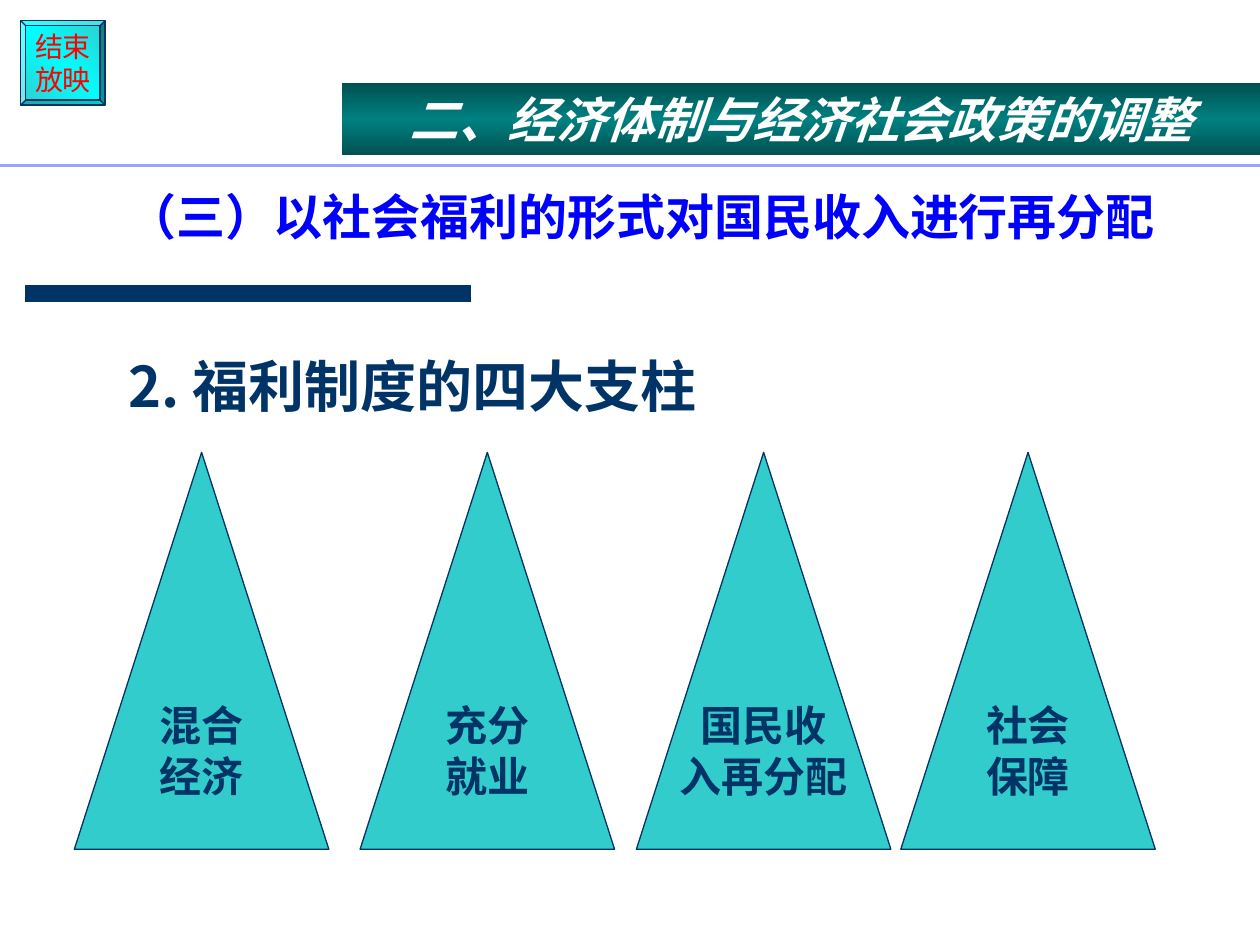
import pptx
import pptx.dml.color
import pptx.enum.shapes
import pptx.enum.text
import pptx.oxml
import pptx.oxml.ns
import pptx.util
from lxml import etree

Cm = pptx.util.Cm
Pt = pptx.util.Pt
RGBColor = pptx.dml.color.RGBColor
SHAPE = pptx.enum.shapes.MSO_SHAPE
ALIGN = pptx.enum.text.PP_ALIGN
ANCHOR = pptx.enum.text.MSO_ANCHOR
qn = pptx.oxml.ns.qn

NAVY = RGBColor(0x00, 0x33, 0x66)
BLUE = RGBColor(0x00, 0x00, 0xFF)
RED = RGBColor(0xFF, 0x00, 0x00)
WHITE = RGBColor(0xFF, 0xFF, 0xFF)
TURQUOISE = RGBColor(0x33, 0xCC, 0xCC)
CYAN = RGBColor(0x00, 0xFF, 0xFF)
TEAL = RGBColor(0x00, 0x80, 0x80)
DARK_TEAL = RGBColor(0x00, 0x51, 0x51)
LAVENDER = RGBColor(0x9B, 0xA4, 0xFD)

SANS = "Noto Sans CJK SC"
LATIN = "Arial"


class SlideBuilder:
    def __init__(self, slide):
        self.s = slide

    def label(self, sp, text, size, color, font=SANS, bold=True, italic=False,
              align=ALIGN.CENTER, anchor=ANCHOR.MIDDLE, wrap=False):
        tf = sp.text_frame
        tf.text = text
        tf.auto_size = pptx.enum.text.MSO_AUTO_SIZE.NONE
        tf.word_wrap = wrap
        tf.vertical_anchor = anchor
        for p in tf.paragraphs:
            p.alignment = align
            p.space_before = Pt(0)
            for r in p.runs:
                r.font.name = font
                r.font.size = Pt(size)
                r.font.bold = bold
                r.font.italic = italic
                r.font.color.rgb = color
                ea = etree.SubElement(r.font._element, qn("a:ea"))
                ea.set("typeface", SANS)

    def placeholder(self, index, x, y, w, h, text, size, color, anchor):
        sp = self.s.placeholders[index]
        sp.left, sp.top, sp.width, sp.height = Cm(x), Cm(y), Cm(w), Cm(h)
        self.label(sp, text, size, color, align=ALIGN.LEFT, anchor=anchor, wrap=True)
        return sp.text_frame.paragraphs[0]

    def shape(self, kind, x, y, w, h, fill=None, line=None):
        sp = self.s.shapes.add_shape(kind, Cm(x), Cm(y), Cm(w), Cm(h))
        sp.shadow.inherit = False
        if fill:
            sp.fill.solid()
            sp.fill.fore_color.rgb = fill
        if line:
            sp.line.color.rgb = line
            sp.line.width = Pt(0.75)
        else:
            sp.line.fill.background()
        return sp

    def gradient(self, sp, edge, middle, angle):
        sp.fill.gradient()
        grad = sp._element.spPr.find(qn("a:gradFill"))
        stops = grad.find(qn("a:gsLst"))
        for stop in list(stops):
            stops.remove(stop)
        for pos, color in ((0, edge), (50, middle), (100, edge)):
            gs = etree.SubElement(stops, qn("a:gs"), pos=str(pos * 1000))
            etree.SubElement(gs, qn("a:srgbClr"), val=str(color))
        grad.find(qn("a:lin")).set("ang", str(angle * 60000))

    def rule(self, x1, x2, y, color, width):
        line = self.s.shapes.add_connector(
            pptx.enum.shapes.MSO_CONNECTOR.STRAIGHT, Cm(x1), Cm(y), Cm(x2), Cm(y))
        line.line.color.rgb = color
        line.line.width = Pt(width)
        etree.SubElement(line._element.spPr, qn("a:effectLst"))

    def pillar(self, x, text):
        sp = self.shape(SHAPE.ISOSCELES_TRIANGLE, x, 9.12, 5.13, 8, TURQUOISE, NAVY)
        self.label(sp, text, 24, NAVY)


def main():
    prs = pptx.Presentation()
    prs.slide_width, prs.slide_height = Cm(25.4), Cm(19.05)
    b = SlideBuilder(prs.slides.add_slide(prs.slide_layouts[1]))

    b.rule(0.51, 9.5, 5.92, NAVY, 10)

    button = b.shape(SHAPE.BEVEL, 0.42, 0.42, 1.7, 1.7, line=NAVY)
    button.adjustments[0] = 0.06
    b.gradient(button, TURQUOISE, CYAN, 135)
    b.label(button, "结束\n放映", 16, RED, font=LATIN, bold=False)

    title = b.placeholder(0, 2.31, 2.31, 21.62, 2.77,
                          "（三）以社会福利的形式对国民收入进行再分配", 28, BLUE, ANCHOR.BOTTOM)
    title.line_spacing = 0.9

    body = b.placeholder(1, 2.34, 6.96, 15.77, 2.16,
                         "2. 福利制度的四大支柱", 32, NAVY, ANCHOR.TOP)
    pPr = body._p.get_or_add_pPr()
    pPr.set("marL", str(Cm(0.97)))
    pPr.set("indent", str(Cm(-0.97)))
    etree.SubElement(pPr, qn("a:buNone"))

    pillars = ((1.5, "混合\n经济"), (7.26, "充分\n就业"),
               (12.83, "国民收\n入再分配"), (18.16, "社会\n保障"))
    for x, text in pillars:
        b.pillar(x, text)

    banner = b.shape(SHAPE.RECTANGLE, 6.9, 1.68, 18.5, 1.45)
    b.gradient(banner, DARK_TEAL, TEAL, 90)
    b.label(banner, "二、经济体制与经济社会政策的调整", 28, WHITE, italic=True, wrap=True)

    b.rule(0, 25.4, 3.33, LAVENDER, 1.75)

    prs.save("out.pptx")


if __name__ == "__main__":
    main()
